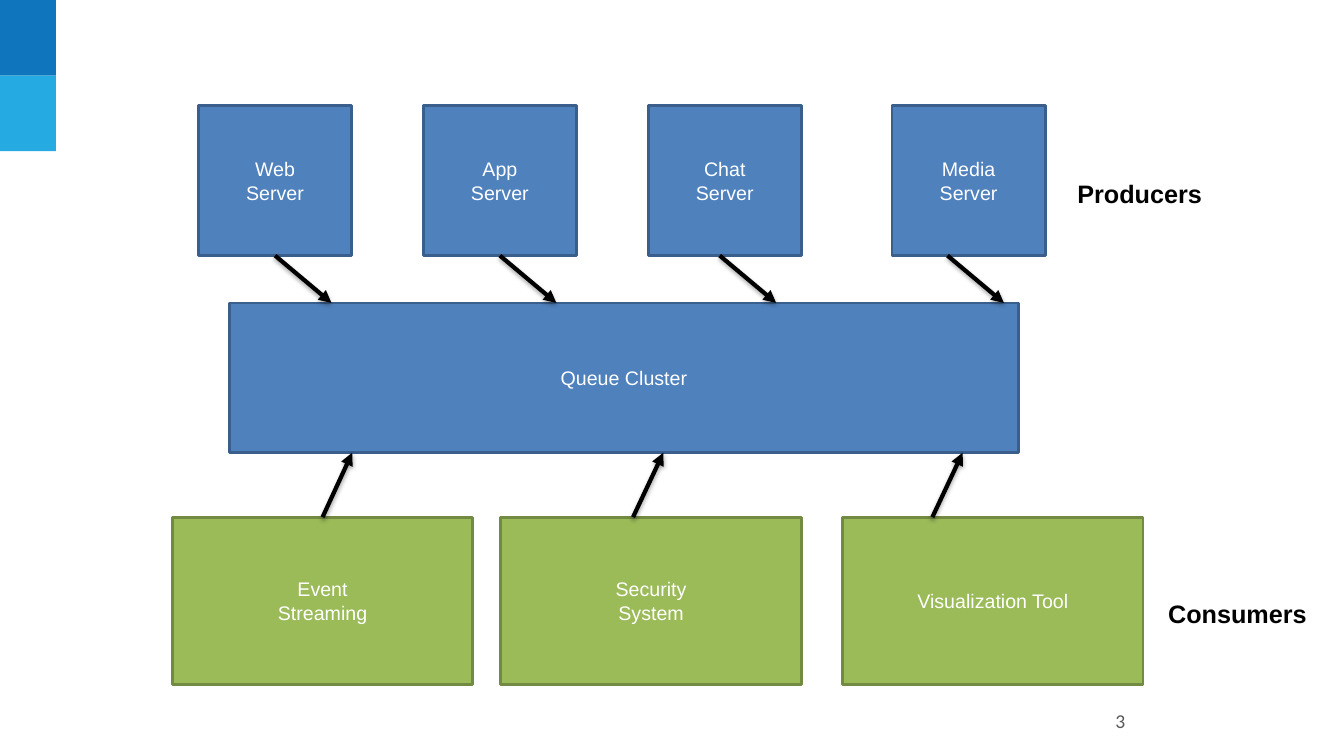
from lxml import etree
from pptx import Presentation
from pptx.dml.color import RGBColor
from pptx.enum import shapes, text
from pptx.oxml import ns
from pptx.util import Pt

DARK_BLUE = RGBColor(0x0F, 0x75, 0xBD)
LIGHT_BLUE = RGBColor(0x25, 0xAA, 0xE2)
BLUE, BLUE_EDGE = RGBColor(0x4F, 0x81, 0xBD), RGBColor(0x3A, 0x5F, 0x8C)
GREEN, GREEN_EDGE = RGBColor(0x9B, 0xBB, 0x59), RGBColor(0x73, 0x8A, 0x42)
WHITE = RGBColor(0xFF, 0xFF, 0xFF)
BLACK = RGBColor(0, 0, 0)
GREY = RGBColor(0x59, 0x59, 0x59)

ARROW_SHADOW = (
    f'<a:effectLst {ns.nsdecls("a")}>'
    '<a:outerShdw blurRad="40000" dist="23000" dir="5400000" rotWithShape="0">'
    '<a:srgbClr val="000000"><a:alpha val="35000"/></a:srgbClr>'
    '</a:outerShdw></a:effectLst>'
)

prs = Presentation()
prs.slide_width, prs.slide_height = Pt(960), Pt(540)
s = prs.slides.add_slide(prs.slide_layouts[6])


def add_text(content, left, top, width, height, fill=None, edge=None, size=14,
             font="Arial", color=WHITE, bold=False, align=text.PP_ALIGN.CENTER,
             anchor=text.MSO_ANCHOR.MIDDLE):
    """Add a filled box, or a plain text box when no fill is given."""
    box = [Pt(v) for v in (left, top, width, height)]
    if fill is None:
        sp = s.shapes.add_textbox(*box)
    else:
        sp = s.shapes.add_shape(shapes.MSO_SHAPE.RECTANGLE, *box)
        sp.shadow.inherit = False
        sp.fill.solid()
        sp.fill.fore_color.rgb = fill
        if edge is None:
            sp.line.fill.background()
        else:
            sp.line.color.rgb = edge
            sp.line.width = Pt(2)
    tf = sp.text_frame
    tf.word_wrap = True
    tf.vertical_anchor = anchor
    tf.text = content
    for p in tf.paragraphs:
        p.alignment = align
        for r in p.runs:
            r.font.size, r.font.name, r.font.bold = Pt(size), font, bold
            r.font.color.rgb = color
    return sp


def add_arrow(sp, side, x, y, dx, end_y):
    """Draw an arrow from sp, joined to it where it starts mid-side."""
    c = s.shapes.add_connector(shapes.MSO_CONNECTOR.STRAIGHT,
                               Pt(x), Pt(y), Pt(x + dx), Pt(end_y))
    if abs(sp.left + sp.width / 2 - Pt(x)) < Pt(1):
        c.begin_connect(sp, side)
    c.line.color.rgb = BLACK
    c.line.width = Pt(3)
    ln = c.line._get_or_add_ln()
    etree.SubElement(ln, ns.qn("a:tailEnd"), type="triangle")
    c._element.spPr.append(etree.fromstring(ARROW_SHADOW))


# Corner blocks
for i, color in enumerate((DARK_BLUE, LIGHT_BLUE)):
    add_text("", 0, i * 54, 40, 54, fill=color)

# Cluster
cluster_top, cluster_height = 216.4, 107
add_text("Queue Cluster", 163.8, cluster_top, 563.8, cluster_height,
         fill=BLUE, edge=BLUE_EDGE)

# Producers: label, box left, arrow start
server_top, server_height = 75.6, 107
for label, left, arrow_x in (("Web\nServer", 141.8, 196.5),
                             ("App\nServer", 302.4, 357.1),
                             ("Chat\nServer", 463, 514.1),
                             ("Media\nServer", 637.2, 676.8)):
    server = add_text(label, left, server_top, 109.4, server_height,
                      fill=BLUE, edge=BLUE_EDGE)
    add_arrow(server, 2, arrow_x, server_top + server_height, 40.3, cluster_top)

# Consumers: label, box left, arrow start
consumer_top = 369.4
for label, left, arrow_x in (("Event\nStreaming", 123.1, 230),
                             ("Security\nSystem", 357.8, 452.2),
                             ("Visualization Tool", 601.9, 666)):
    consumer = add_text(label, left, consumer_top, 214.6, 119.5,
                        fill=GREEN, edge=GREEN_EDGE)
    add_arrow(consumer, 0, arrow_x, consumer_top, 21.6,
              cluster_top + cluster_height)

# Row labels
for label, left, top in (("Producers", 762.5, 123.8), ("Consumers", 827.3, 423.7)):
    add_text(label, left, top, 114.5, 29, size=18, color=BLACK, bold=True,
             align=text.PP_ALIGN.LEFT, anchor=text.MSO_ANCHOR.TOP)

# Slide number
add_text("3", 688.3, 500.4, 223.9, 28.8, font="Calibri", color=GREY)

prs.save("out.pptx")
